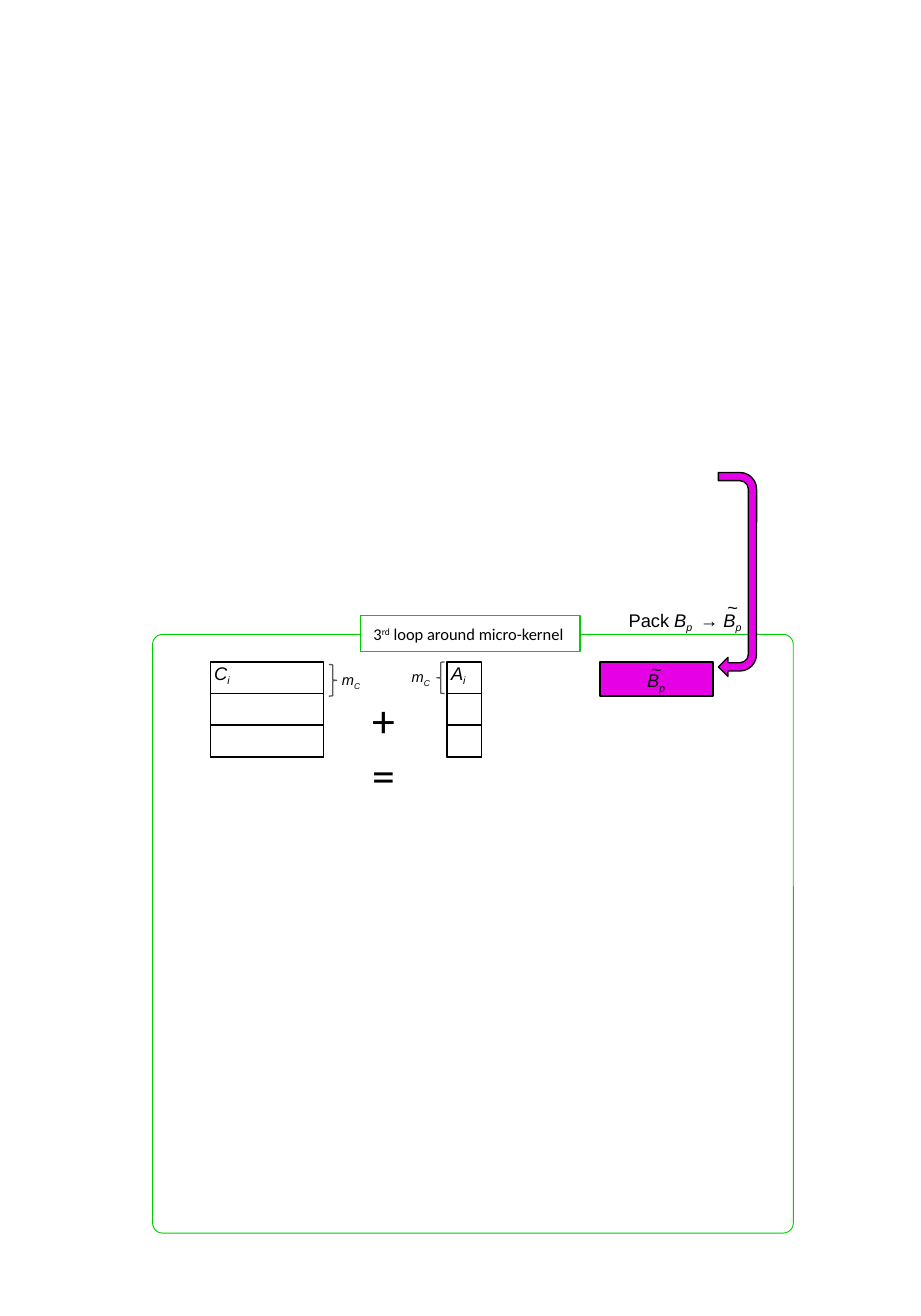
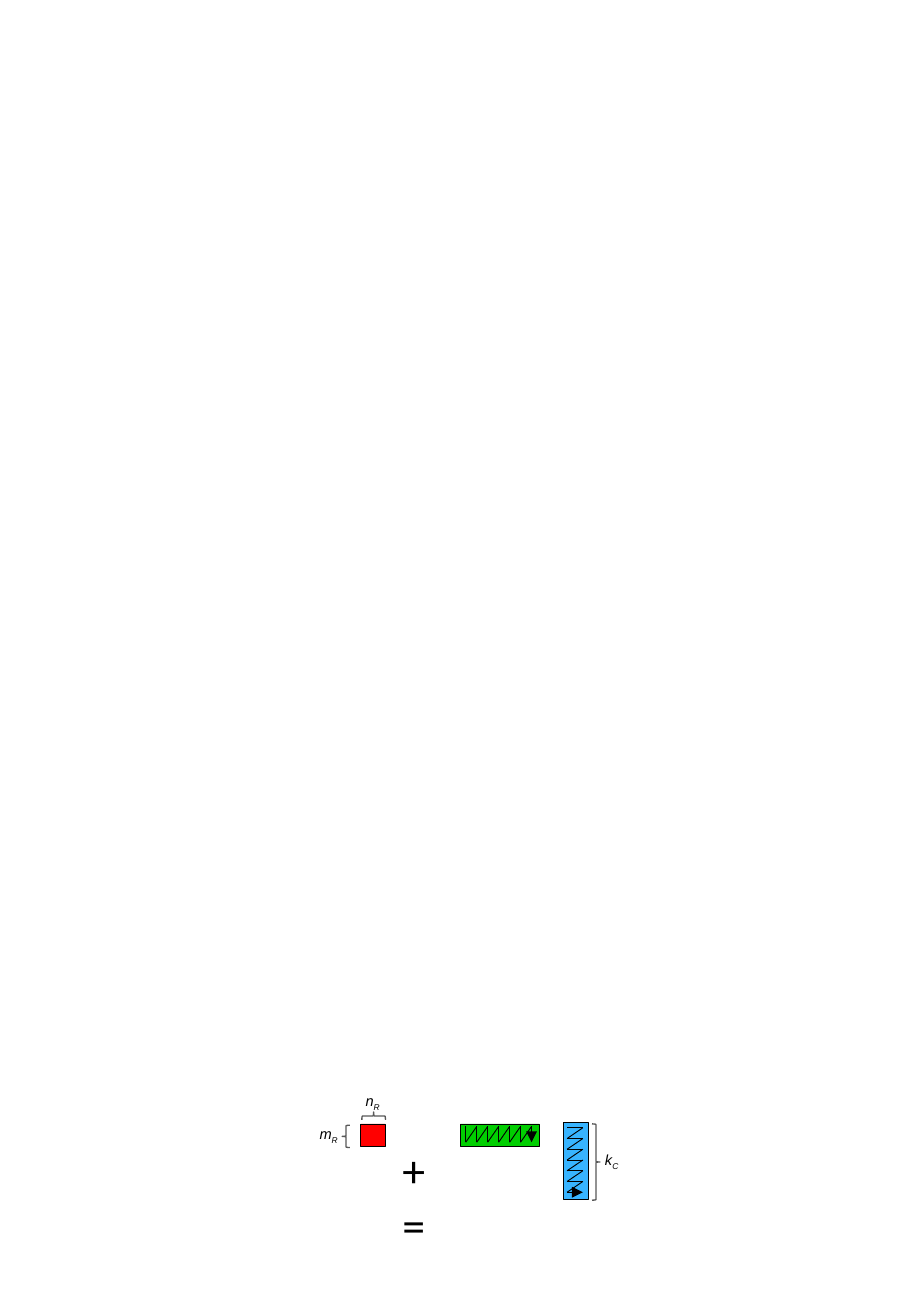
"""Draw two panels of a blocked matrix multiplication on a grid of 70 columns by 100 rows."""
from lxml import etree
from pptx import Presentation
from pptx import util as u
from pptx.dml.color import RGBColor
from pptx.enum import shapes, text
from pptx.oxml import ns

BLACK = RGBColor(0x00, 0x00, 0x00)
WHITE = RGBColor(0xFF, 0xFF, 0xFF)
GRAY = RGBColor(0x59, 0x59, 0x59)
GREEN = RGBColor(0x00, 0xCE, 0x00)
MAGENTA = RGBColor(0xE5, 0x00, 0xE5)
BLUE = RGBColor(0x38, 0xB4, 0xFF)
RED = RGBColor(0xFF, 0x00, 0x00)
COLUMNS, ROWS = 70, 100
SUBSCRIPT, SUPERSCRIPT = -25000, 30000
SHAPE = shapes.MSO_SHAPE


def add_span(para, wording, size=10, font="Arial", italic=False, baseline=0):
    span = para.add_run()
    span.text = wording
    span.font.size = u.Pt(size)
    span.font.name = font
    span.font.italic = italic
    span.font.color.rgb = BLACK
    if baseline:
        span.font._element.set("baseline", str(baseline))


class Panel:
    def __init__(self, deck):
        self.deck = deck
        self.page = None

    def new_page(self):
        self.page = self.deck.slides.add_slide(self.deck.slide_layouts[6])

    def x(self, columns):
        return round(self.deck.slide_width * columns / COLUMNS)

    def y(self, rows):
        return round(self.deck.slide_height * rows / ROWS)

    def place(self, left, top, width, height):
        return self.x(left), self.y(top), self.x(width), self.y(height)

    def shape(self, kind, left, top, width, height, fill=None, line=BLACK,
              weight=1, turn=0, adjust=()):
        shape = self.page.shapes.add_shape(kind, *self.place(left, top, width, height))
        shape.shadow.inherit = False
        shape.rotation = turn
        for index, value in enumerate(adjust):
            shape.adjustments[index] = value
        if fill is None:
            shape.fill.background()
        else:
            shape.fill.solid()
            shape.fill.fore_color.rgb = fill
        shape.line.color.rgb = line
        shape.line.width = u.Pt(weight)
        return shape

    def block(self, left, top, width, height, fill=WHITE, weight=1):
        self.shape(SHAPE.RECTANGLE, left, top, width, height, fill, weight=weight)

    def brace(self, left, top, height, turn=0):
        self.shape(SHAPE.RIGHT_BRACE, left, top, 0.6, height,
                   line=GRAY, weight=0.75, turn=turn)

    def stack(self, left, top, width, row_height, shown_rows):
        self.block(left, top, width, 3 * row_height)
        for row in shown_rows:
            self.block(left, top + row * row_height, width, row_height)

    def label(self, left, top, width, height, spans, **style):
        box = self.page.shapes.add_textbox(*self.place(left, top, width, height))
        box.text_frame.word_wrap = True
        box.text_frame.auto_size = text.MSO_AUTO_SIZE.SHAPE_TO_FIT_TEXT
        for wording, changes in spans:
            add_span(box.text_frame.paragraphs[0], wording, **{**style, **changes})

    def symbol(self, left, top, width, letter, index, size=8):
        height = 2.4 if size == 8 else 2.7
        self.label(left, top, width, height,
                   [(letter, {}), (index, {"baseline": SUBSCRIPT})],
                   size=size, italic=True)

    def tilde(self, left, top):
        self.label(left, top, 2.8, 2.7, [("~", {})])

    def update_sign(self, left, top):
        self.label(left, top, 4.5, 4, [("+=", {})], size=25, font="Calibri")

    def stroke(self, start, end, arrow=False):
        line = self.page.shapes.add_connector(
            shapes.MSO_CONNECTOR.STRAIGHT, self.x(start[0]), self.y(start[1]),
            self.x(end[0]), self.y(end[1]))
        line.line.color.rgb = BLACK
        line.line.width = u.Pt(0.5)
        if arrow:
            etree.SubElement(line.line._get_or_add_ln(), ns.qn("a:tailEnd"), type="triangle")
        etree.SubElement(line._element.spPr, ns.qn("a:effectLst"))

    def zigzag(self, left, top, step, depth, count=6):
        starts = [(left + k * step[0], top + k * step[1]) for k in range(count + 1)]
        ends = [(across + depth[0], down + depth[1]) for across, down in starts]
        for k, (start, end) in enumerate(zip(starts, ends)):
            self.stroke(start, end, arrow=k == count)
            if k < count:
                self.stroke(starts[k + 1], end)


def draw_third_loop(panel):
    panel.new_page()
    panel.shape(SHAPE.ROUNDED_RECTANGLE, 11.6, 48.2, 48.7, 45.5,
                line=GREEN, weight=0.5, adjust=[0.017])
    title = panel.shape(SHAPE.RECTANGLE, 27.4, 46.8, 16.7, 2.7, WHITE, GREEN, 0.75)
    para = title.text_frame.paragraphs[0]
    para.alignment = text.PP_ALIGN.LEFT
    for wording, baseline in (("3", 0), ("rd", SUPERSCRIPT), (" loop around micro-kernel", 0)):
        add_span(para, wording, size=9, font="Calibri", baseline=baseline)
    panel.update_sign(27.3, 52.1)

    panel.block(45.6, 50.3, 8.6, 2.6, MAGENTA)
    italic, index = {"italic": True}, {"italic": True, "baseline": SUBSCRIPT}
    panel.label(46.8, 45.8, 15.3, 2.7, [
        ("Pack ", {}), ("B", italic), ("p ", index),
        (" → ", {}), ("B", italic), ("p", index)])
    panel.tilde(54.3, 44.8)
    panel.symbol(48.2, 50.4, 3.6, "B", "p", size=10)
    panel.tilde(48.5, 49.5)

    panel.stack(16, 50.3, 8.6, 2.4, shown_rows=(0, 1, 2))
    panel.stack(34, 50.3, 2.6, 2.4, shown_rows=(1, 2))
    panel.brace(33.2, 50.3, 2.4, turn=180)
    panel.symbol(30.3, 50.3, 3.8, "m", "C")
    panel.symbol(15.3, 49.8, 3.4, "C", "i", size=10)
    panel.symbol(33.3, 49.8, 3.4, "A", "i", size=10)
    panel.brace(25, 50.5, 2.4)
    panel.symbol(25, 50.5, 3.8, "m", "C")
    panel.shape(SHAPE.U_TURN_ARROW, 48.3, 42.2, 15.5, 2.9, MAGENTA, weight=0.75,
                turn=90, adjust=[0.215, 0.25, 0.25, 0.438, 1])


def draw_micro_kernel(panel):
    panel.new_page()
    panel.block(35, 85.4, 6, 1.7, GREEN, 0.25)
    panel.zigzag(35.4, 85.6, step=(5 / 6, 0), depth=(0, 1.2))
    panel.block(42.8, 85.3, 1.9, 5.8, BLUE, 0.25)
    panel.zigzag(43.1, 85.7, step=(0, 4.9 / 6), depth=(1.2, 0))
    panel.brace(45, 85.4, 5.8)
    panel.symbol(45, 87, 3.3, "k", "C")
    panel.block(27.4, 85.4, 1.9, 1.7, RED, 0.25)
    panel.update_sign(29.6, 86.3)
    panel.brace(28.1, 83.9, 1.8, turn=270)
    panel.symbol(26.8, 82.5, 3.2, "n", "R")
    panel.brace(26, 85.5, 1.7, turn=180)
    panel.symbol(23.3, 85, 3.8, "m", "R")


deck = Presentation()
deck.slide_width, deck.slide_height = u.Inches(7), u.Inches(10)
panel = Panel(deck)
draw_third_loop(panel)
draw_micro_kernel(panel)
deck.save("out.pptx")
